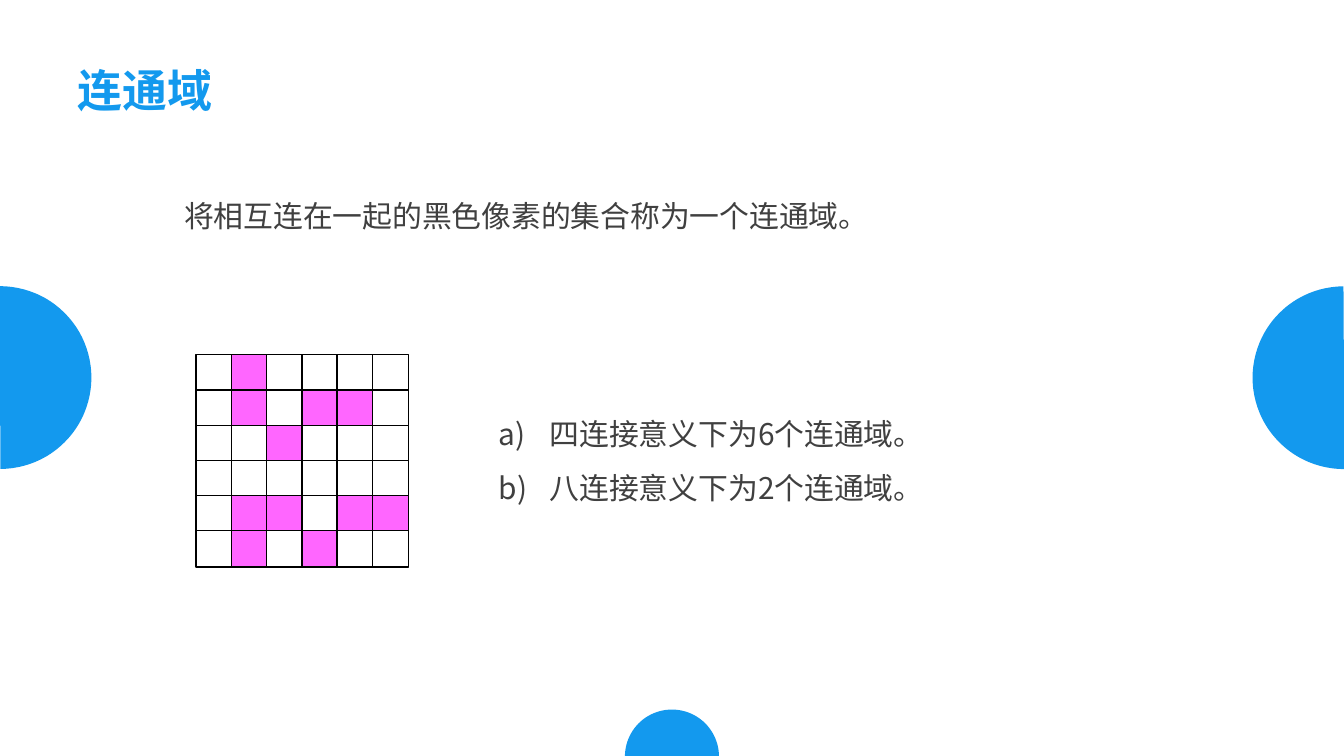
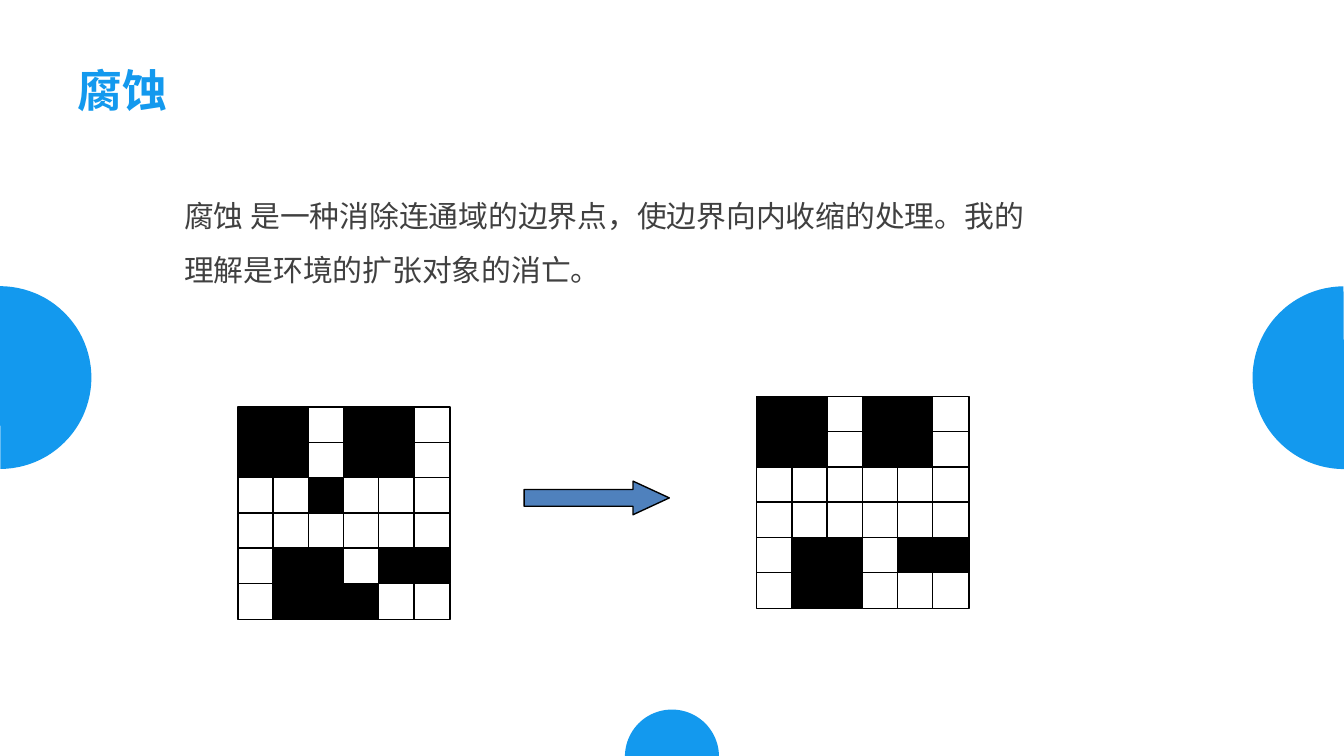
import pptx
import pptx.util
import pptx.dml.color
import pptx.enum.shapes
import pptx.enum.text
import pptx.oxml.ns
from lxml import etree

Inches, Pt = pptx.util.Inches, pptx.util.Pt
RGBColor = pptx.dml.color.RGBColor
SHAPE = pptx.enum.shapes.MSO_SHAPE

BLUE = RGBColor(0x13, 0x99, 0xEE)
GRAY = RGBColor(0x40, 0x40, 0x40)
PINK = RGBColor(0xFF, 0x66, 0xFF)
ARROW_BLUE = RGBColor(0x4F, 0x81, 0xBD)
BLACK = RGBColor(0, 0, 0)
WHITE = RGBColor(0xFF, 0xFF, 0xFF)
FONT = "Noto Sans CJK SC"
TITLE_FORMAT = {"size": Pt(24), "bold": True, "name": FONT}
BODY_FORMAT = {"size": Pt(16), "bold": False, "name": FONT}

TITLE_BOX = (0.48, 0.42, 4.86, 0.5)
CELL, GRID_SPAN, GRID_COUNT = 0.27, 1.58, 6
HALF_DISCS = [(4.65, 5.28, 0.7, 0), (-0.68, 2.13, 1.36, 90), (9.32, 2.13, 1.36, 270)]

SLIDES = [
    {
        "title": "连通域",
        "bodies": [
            {"box": (1.27, 1.29, 6.63, 0.5), "lettered": False,
             "lines": ["将相互连在一起的黑色像素的集合称为一个连通域。"]},
            {"box": (3.61, 2.91, 3.95, 0.91), "lettered": True,
             "lines": ["四连接意义下为6个连通域。", "八连接意义下为2个连通域。"]},
        ],
        "grids": [
            {"at": (1.46, 2.64), "color": PINK,
             "rows": [".#....", ".#.##.", "..#...", "......", ".##.##", ".#.#.."]},
        ],
        "arrows": [],
    },
    {
        "title": "腐蚀",
        "bodies": [
            {"box": (1.27, 1.29, 6.63, 0.91), "lettered": False,
             "lines": ["腐蚀 是一种消除连通域的边界点，使边界向内收缩的处理。"
                       "我的理解是环境的扩张对象的消亡。"]},
        ],
        "grids": [
            {"at": (1.77, 3.03), "color": BLACK,
             "rows": ["##.##.", "##.##.", "..#...", "......", ".##.##", ".###.."]},
            {"at": (5.63, 2.95), "color": BLACK,
             "rows": ["##.##.", "##.##.", "......", "......", ".##.##", ".##..."]},
        ],
        "arrows": [(3.9, 3.58, 1.08, 0.25)],
    },
]


def add_filled(shapes, kind, box, fill, line=None):
    """Add a flat preset shape, outlined only if a line colour is given."""
    sp = shapes.add_shape(kind, *map(Inches, box))
    sp.shadow.inherit = False
    sp.fill.solid()
    sp.fill.fore_color.rgb = fill
    if line is None:
        sp.line.fill.background()
    else:
        sp.line.color.rgb = line
        sp.line.width = Pt(0.75)
    return sp


def fill_placeholder(sp, box, lines, font_format, color, spacing=1.0, lettered=False):
    """Place a placeholder and write its formatted paragraphs."""
    sp.left, sp.top, sp.width, sp.height = map(Inches, box)
    tf = sp.text_frame
    tf.word_wrap = True
    tf.auto_size = pptx.enum.text.MSO_AUTO_SIZE.SHAPE_TO_FIT_TEXT
    tf.vertical_anchor = pptx.enum.text.MSO_ANCHOR.TOP
    indent = Inches(0.38) if lettered else 0
    for i, line in enumerate(lines):
        p = tf.paragraphs[0] if i == 0 else tf.add_paragraph()
        p.alignment = pptx.enum.text.PP_ALIGN.LEFT
        p.line_spacing = spacing
        p.space_before = Pt(0)
        pPr = p._p.get_or_add_pPr()
        pPr.set("marL", str(indent))
        pPr.set("indent", str(-indent))
        if lettered:
            bullet = etree.SubElement(pPr, pptx.oxml.ns.qn("a:buAutoNum"))
            bullet.set("type", "alphaLcParenR")
        else:
            etree.SubElement(pPr, pptx.oxml.ns.qn("a:buNone"))
        r = p.add_run()
        r.text = line
        for key, value in font_format.items():
            setattr(r.font, key, value)
        r.font.color.rgb = color
        east_asian = etree.SubElement(r._r.get_or_add_rPr(), pptx.oxml.ns.qn("a:ea"))
        east_asian.set("typeface", FONT)


def add_grid(s, at, color, rows):
    """Draw a pixel grid as one group of squares."""
    group = s.shapes.add_group_shape()
    pitch = (GRID_SPAN - CELL) / (GRID_COUNT - 1)
    for i, row in enumerate(rows):
        for j, pixel in enumerate(row):
            box = (at[0] + j * pitch, at[1] + i * pitch, CELL, CELL)
            fill = color if pixel == "#" else WHITE
            add_filled(group.shapes, SHAPE.RECTANGLE, box, fill, BLACK)


def decorate_master(prs, s):
    """Move the half discs at the edges to the slide master."""
    for i, (left, top, size, rotation) in enumerate(HALF_DISCS):
        sp = add_filled(s.shapes, SHAPE.PIE, (left, top, size, size), BLUE)
        sp.adjustments[0], sp.adjustments[1] = 108, 215.82
        sp.rotation = rotation
        sp.element.nvSpPr.cNvPr.set("id", str(100 + i))
        prs.slide_master.shapes.element.append(sp.element)


def build_slide(prs, content):
    """Build one slide from its content."""
    s = prs.slides.add_slide(prs.slide_layouts.get_by_name("Two Content"))
    title, *bodies = list(s.placeholders)
    fill_placeholder(title, TITLE_BOX, [content["title"]], TITLE_FORMAT, BLUE)
    for sp, body in zip(bodies, content["bodies"]):
        fill_placeholder(sp, body["box"], body["lines"], BODY_FORMAT, GRAY,
                         1.5, body["lettered"])
    for sp in bodies[len(content["bodies"]):]:
        sp.element.getparent().remove(sp.element)
    for grid in content["grids"]:
        add_grid(s, **grid)
    for box in content["arrows"]:
        arrow = add_filled(s.shapes, SHAPE.RIGHT_ARROW, box, ARROW_BLUE, BLACK)
        arrow.adjustments[0], arrow.adjustments[1] = 0.5, 1.08
    return s


def main():
    """Build and save the presentation in 16:9."""
    prs = pptx.Presentation()
    prs.slide_width = Inches(10)
    prs.slide_height = prs.slide_width * 9 // 16
    slides = [build_slide(prs, content) for content in SLIDES]
    decorate_master(prs, slides[0])
    prs.save("out.pptx")


if __name__ == "__main__":
    main()
